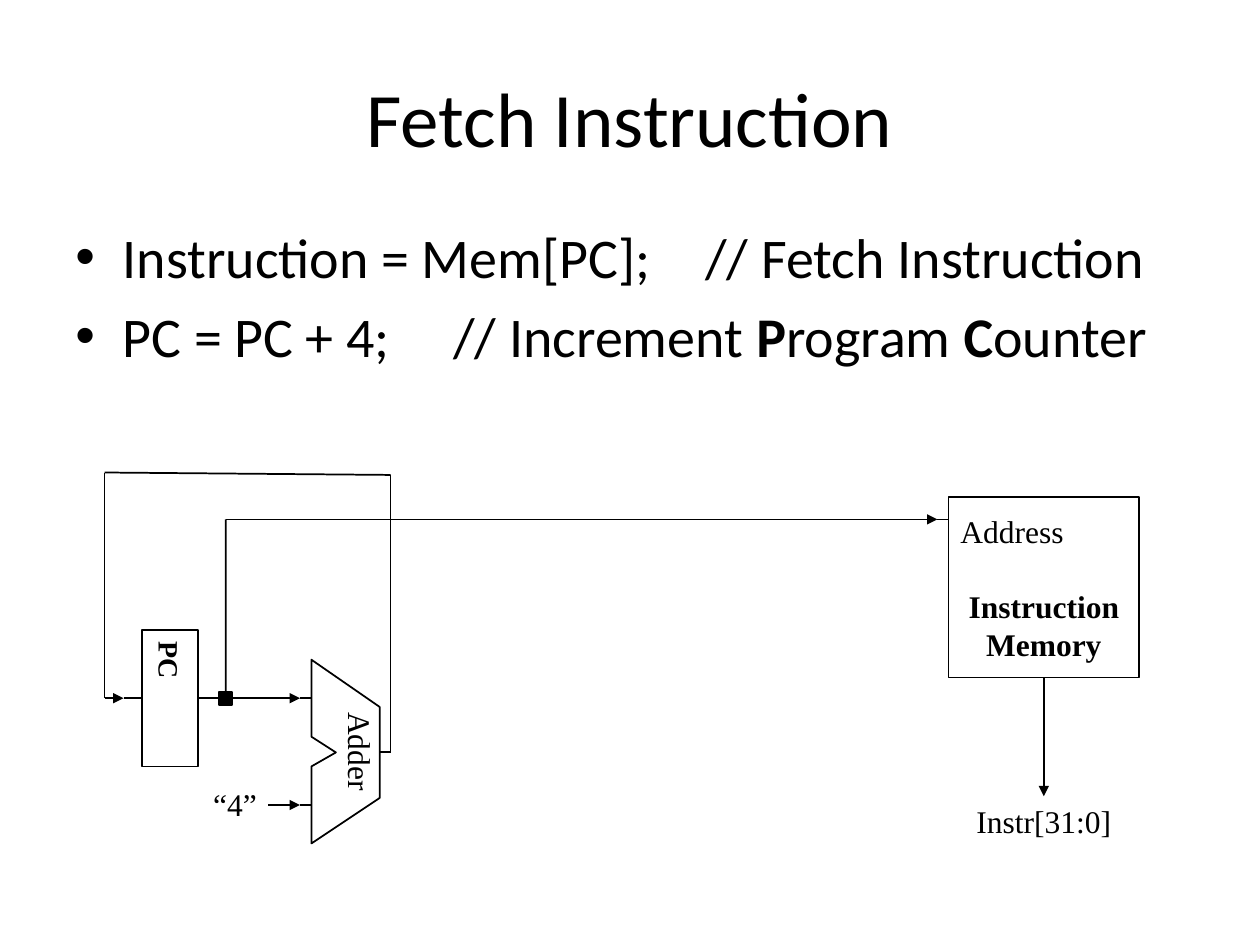
from lxml.etree import SubElement as Sub
from pptx import Presentation
from pptx.dml.color import RGBColor as RGB
from pptx.enum.shapes import MSO_CONNECTOR as Conn, MSO_SHAPE as Form
from pptx.enum.text import MSO_ANCHOR as Anchor, PP_ALIGN as Align
from pptx.oxml.ns import qn
from pptx.util import Pt

HUES = {"ink": "000000", "paper": "FFFFFF"}
TOP, LEFT, BASE, RIGHT = range(4)
MID, CENTER = Anchor.MIDDLE, Align.CENTER


class Sketch:
    head, label = "Calibri", "Times New Roman"
    thin = 1

    def __init__(self, slide):
        self.slide = slide
        self.shapes = slide.shapes

    def hue(self, name):
        return RGB.from_string(HUES[name])

    def paint(self, shape, fill="paper"):
        shape.shadow.inherit = False
        shape.fill.solid()
        shape.fill.fore_color.rgb = self.hue(fill)
        shape.line.color.rgb = self.hue("ink")
        shape.line.width = Pt(self.thin)
        return shape

    def box(self, x, y, w, h, fill="paper"):
        form = self.shapes.add_shape(Form.RECTANGLE, Pt(x), Pt(y), Pt(w), Pt(h))
        return self.paint(form, fill)

    def shell(self, spots):
        """Draw a closed outline through the given corners."""
        pen = self.shapes.build_freeform(*spots[0], scale=Pt(1))
        pen.add_line_segments(spots[1:], close=True)
        return self.paint(pen.convert_to_shape())

    def letter(self, shape, lines, size=18, font=None, align=CENTER,
               anchor=MID, pad=(7.2, 3.6), wrap=True, turn=False):
        """Fill a shape with lines; each line is a list of (text, bold) runs."""
        frame = shape.text_frame
        frame.word_wrap, frame.vertical_anchor = wrap, anchor
        frame.margin_left = frame.margin_right = Pt(pad[0])
        frame.margin_top = frame.margin_bottom = Pt(pad[1])
        if turn:
            shape.element.txBody.find(qn("a:bodyPr")).set("vert", "vert")
        for i, runs in enumerate(lines):
            para = frame.add_paragraph() if i else frame.paragraphs[0]
            para.alignment = align
            para.font.name = font or self.label
            para.font.size = Pt(size)
            para.font.color.rgb = self.hue("ink")
            if len(runs) == 1:
                para.font.bold = runs[0][1]
            for text, bold in runs:
                run = para.add_run()
                run.text = text
                if len(runs) > 1:
                    run.font.bold = bold
        return frame.paragraphs

    def text(self, x, y, w, h, lines, **style):
        area = self.shapes.add_textbox(Pt(x), Pt(y), Pt(w), Pt(h))
        self.letter(area, lines, **style)
        return area

    def bullet(self, para, indent, tab):
        props = para._p.get_or_add_pPr()
        props.set("marL", str(Pt(indent)))
        props.set("indent", str(-Pt(indent)))
        props.set("defTabSz", str(Pt(tab)))
        mark = Sub(props, qn("a:buFont"), typeface="Arial")
        sign = Sub(props, qn("a:buChar"), char="•")
        base = props.find(qn("a:defRPr"))
        if base is not None:
            base.addprevious(mark)
            base.addprevious(sign)

    def wire(self, start, end, arrow=False, begin=None, stop=None):
        """Draw a line; begin and stop are (shape, side) joints."""
        line = self.shapes.add_connector(
            Conn.STRAIGHT, *(Pt(v) for v in (*start, *end)))
        if begin:
            line.begin_connect(*begin)
        if stop:
            line.end_connect(*stop)
        line.line.color.rgb = self.hue("ink")
        line.line.width = Pt(self.thin)
        props = line.element.spPr
        if arrow:
            Sub(props.get_or_add_ln(), qn("a:tailEnd"), type="triangle")
        Sub(props, qn("a:effectLst"))


def words(art):
    art.text(36, 21.6, 648, 90, [[("Fetch Instruction", False)]],
             size=44, font=art.head)
    body = art.text(36, 123.8, 648, 356.4, [
        [("Instruction = Mem[PC];\t// Fetch Instruction", False)],
        [("PC = PC + 4;\t// Increment ", False), ("P", True),
         ("rogram ", False), ("C", True), ("ounter", False)],
    ], size=32, font=art.head, align=Align.LEFT, anchor=Anchor.TOP)
    for para in body.text_frame.paragraphs:
        para.space_before = Pt(6.4)
        art.bullet(para, 27, 72)


def adder(art, x, mid):
    """Draw the notched adder, symmetric about the height mid."""
    half = [(0, 8.6), (0, 52.6), (38.9, 26.3)]
    upper = [(x + a, mid - b) for a, b in half]
    lower = [(x + a, mid + b) for a, b in reversed(half)]
    form = art.shell(upper + lower + [(x + 13.6, mid)])
    art.letter(form, [[("Adder", False)]], anchor=Anchor.TOP,
               pad=(0, 0), wrap=False, turn=True)


def scheme(art):
    row, mid, low, bus = 399, 429.8, 460, 296.8
    adder(art, 177.9, mid)
    pc = art.box(81, row - 39, 32, 78)
    art.letter(pc, [[("PC", True)]], size=16, align=Align.LEFT,
               pad=(6.5, 6.5), turn=True)
    mem = art.box(542, 284.2, 109, 103)
    lines = art.letter(mem, [[("Address", False)], [("Instruction", True)],
                             [("Memory", True)]], pad=(6.8, 3.6))
    lines[0].alignment = Align.LEFT
    lines[1].space_before = Pt(21)
    dot = art.box(125.2, row - 3.75, 7.5, 7.5, "ink")
    instr = art.text(550.8, 455, 91.4, 28.8, [[("Instr[31:0]", False)]],
                     wrap=False, anchor=Anchor.TOP)
    art.text(114.5, 445, 39.6, 28.8, [[("“4”", False)]],
             wrap=False, anchor=Anchor.TOP)

    # Loop from the adder back to PC
    loop = [(216.8, mid), (223.2, mid), (223.2, 271.4), (59.8, 270), (59.8, row)]
    for start, end in zip(loop, loop[1:]):
        art.wire(start, end)
    art.wire(loop[-1], (70.6, row), arrow=True)
    art.wire((70.6, row), (81, row), stop=(pc, LEFT))

    # PC to the adder
    art.wire((113, row), (125.2, row), begin=(pc, RIGHT), stop=(dot, LEFT))
    art.wire((132.7, row), (171.4, row), arrow=True, begin=(dot, RIGHT))
    art.wire((153.4, low), (171.4, low), arrow=True)
    for y in (row, low):
        art.wire((171.4, y), (177.9, y))

    # PC to memory, and memory to its output
    art.wire((129, row), (129, bus), begin=(dot, TOP))
    art.wire((129, bus), (535.7, bus), arrow=True)
    art.wire((535.7, bus), (542, bus))
    art.wire((596.5, 387.2), (596.5, 455), arrow=True,
             begin=(mem, BASE), stop=(instr, TOP))


def main():
    deck = Presentation()
    deck.slide_width, deck.slide_height = Pt(720), Pt(540)
    art = Sketch(deck.slides.add_slide(deck.slide_layouts[6]))
    words(art)
    scheme(art)
    deck.save("out.pptx")


if __name__ == "__main__":
    main()
